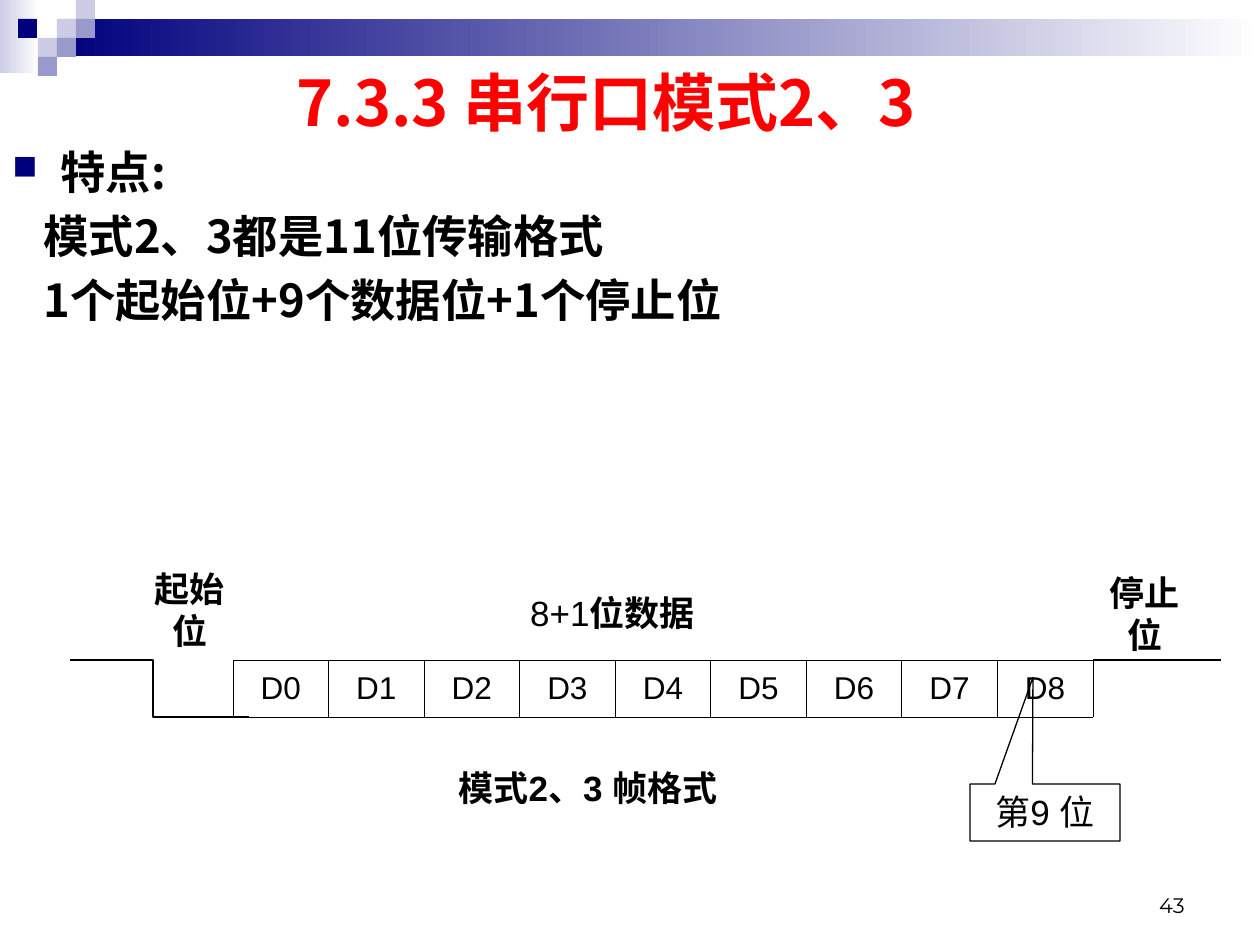
"""Build the slide on serial port modes 2 and 3 with their frame format."""
from lxml import etree
from pptx import Presentation
from pptx.dml.color import RGBColor
from pptx.enum.shapes import MSO_CONNECTOR, MSO_SHAPE
from pptx.enum.text import MSO_ANCHOR, PP_ALIGN
from pptx.oxml.ns import qn
from pptx.util import Pt

BLACK = RGBColor(0x00, 0x00, 0x00)
RED = RGBColor(0xFF, 0x00, 0x00)
WHITE = RGBColor(0xFF, 0xFF, 0xFF)
NAVY = RGBColor(0x00, 0x00, 0x7D)
LAVENDER = RGBColor(0xCC, 0xCC, 0xE6)
PERIWINKLE = RGBColor(0x99, 0x99, 0xCC)
CJK, LATIN, NUMBER = "Noto Sans CJK SC", "Arial", "Montserrat"

BANDS = [((0, 0, 39, 73), LAVENDER), ((57, 19, 1203, 37), NAVY)]
TILE = 19
TILES = [(57, 19, LAVENDER), (76, 0, LAVENDER), (76, 19, PERIWINKLE), (38, 38, LAVENDER),
         (18, 19, NAVY), (57, 38, PERIWINKLE), (38, 57, PERIWINKLE)]
TITLE = "7.3.3 串行口模式2、3"
FEATURES = ["特点:", "模式2、3都是11位传输格式", "1个起始位+9个数据位+1个停止位"]
LABELS = [
    ((128, 582, 124, 54), [("起始位", True)]),
    ((503, 588, 219, 50), [("8+1", False), ("位数据", True)]),
    ((1086, 586, 118, 54), [("停止位", True)]),
]
CAPTION = "模式2、3 帧格式"
NINTH_BIT = "第9 位"
PAGE = "43"
BITS = [f"D{number}" for number in range(9)]
FRAME_LEFT, FRAME_TOP, FRAME_WIDTH, FRAME_HEIGHT = 233, 660, 860, 57
START_LINE = (70, FRAME_TOP, 249, FRAME_TOP + FRAME_HEIGHT)
STOP_LINE = (FRAME_LEFT + FRAME_WIDTH, FRAME_TOP, 1221, FRAME_TOP)


def px(length):
    return round(length * 914400 / 126)


def style(run, size, font=LATIN, color=BLACK, bold=False):
    run.font.size, run.font.name, run.font.bold = Pt(size), font, bold
    run.font.color.rgb = color
    etree.SubElement(run.font._element, qn("a:ea")).set("typeface", CJK)


def write(paragraph, pieces, size, align=PP_ALIGN.CENTER, **look):
    paragraph.alignment = align
    for text, bold in pieces:
        run = paragraph.add_run()
        run.text = text
        style(run, size, bold=bold, **look)


def text_box(slide, box, anchor=MSO_ANCHOR.MIDDLE, wrap=False):
    frame = slide.shapes.add_textbox(*map(px, box)).text_frame
    frame.word_wrap, frame.vertical_anchor = wrap, anchor
    return frame


def rectangle(slide, box):
    shape = slide.shapes.add_shape(MSO_SHAPE.RECTANGLE, *map(px, box))
    shape.shadow.inherit = False
    shape.line.fill.background()
    return shape


def connect(slide, kind, ends):
    line = slide.shapes.add_connector(kind, *map(px, ends))
    line.line.color.rgb, line.line.width = BLACK, Pt(0.75)
    etree.SubElement(line._element.spPr, qn("a:effectLst"))
    return line


def add_decoration(slide):
    for box, color in BANDS:
        fill = rectangle(slide, box).fill
        fill.gradient()
        fill.gradient_angle = 0
        for stop, shade, position in zip(fill.gradient_stops, (color, WHITE), (0, 1)):
            stop.color.rgb, stop.position = shade, position
    for left, top, color in TILES:
        fill = rectangle(slide, (left, top, TILE, TILE)).fill
        fill.solid()
        fill.fore_color.rgb = color


def add_bullet(properties):
    color = etree.SubElement(properties, qn("a:buClr"))
    etree.SubElement(color, qn("a:srgbClr")).set("val", str(NAVY))
    etree.SubElement(properties, qn("a:buSzPct")).set("val", "75000")
    etree.SubElement(properties, qn("a:buChar")).set("char", "■")


def add_features(slide):
    frame = text_box(slide, (0, 138, 1260, 223), MSO_ANCHOR.TOP, True)
    for index, feature in enumerate(FEATURES):
        paragraph = frame.add_paragraph() if index else frame.paragraphs[0]
        properties = paragraph._p.get_or_add_pPr()
        properties.set("marL", str(px(31 if index else 48)))
        properties.set("indent", str(px(0 if index else -48)))
        if index:
            paragraph.space_before = Pt(5.4)
        else:
            add_bullet(properties)
        write(paragraph, [(feature, True)], 25.9, PP_ALIGN.LEFT, font=CJK)


def add_border(cell, side, width):
    border = etree.SubElement(cell._tc.get_or_add_tcPr(), qn(f"a:{side}"), w=str(Pt(width)))
    fill = etree.SubElement(border, qn("a:solidFill"))
    etree.SubElement(fill, qn("a:srgbClr")).set("val", str(BLACK))


def add_frame(slide):
    box = map(px, (FRAME_LEFT, FRAME_TOP, FRAME_WIDTH, FRAME_HEIGHT))
    table = slide.shapes.add_table(1, len(BITS), *box).table
    table.first_row = table.horz_banding = False
    for column, bit in enumerate(BITS):
        table.columns[column].width = px(FRAME_WIDTH / len(BITS))
        cell = table.cell(0, column)
        cell.vertical_anchor = MSO_ANCHOR.MIDDLE
        for side, width in (("lnL", 0.45), ("lnR", 0.45), ("lnT", 0.23), ("lnB", 0.23)):
            add_border(cell, side, width)
        cell.fill.background()
        write(cell.text_frame.paragraphs[0], [(bit, False)], 18)


def add_callout(slide):
    callout = slide.shapes.add_shape(MSO_SHAPE.RECTANGULAR_CALLOUT, *map(px, (970, 784, 150, 57)))
    callout.shadow.inherit = False
    callout.fill.background()
    callout.line.color.rgb, callout.line.width = BLACK, Pt(0.75)
    callout.adjustments[0], callout.adjustments[1] = -0.08, -2.37
    callout.text_frame.vertical_anchor = MSO_ANCHOR.TOP
    write(callout.text_frame.paragraphs[0], [(NINTH_BIT, False)], 20)


def main():
    deck = Presentation()
    deck.slide_width, deck.slide_height = px(1260), px(945)
    slide = deck.slides.add_slide(deck.slide_layouts[6])
    add_decoration(slide)
    title = text_box(slide, (253, 60, 706, 82))
    write(title.paragraphs[0], [(TITLE, True)], 36, font=CJK, color=RED)
    add_features(slide)
    start = connect(slide, MSO_CONNECTOR.ELBOW, START_LINE)
    guides = start._element.spPr.find(qn("a:prstGeom")).find(qn("a:avLst"))
    etree.SubElement(guides, qn("a:gd"), name="adj1", fmla="val 46500")
    add_frame(slide)
    connect(slide, MSO_CONNECTOR.STRAIGHT, STOP_LINE)
    for box, pieces in LABELS:
        write(text_box(slide, box).paragraphs[0], pieces, 20)
    add_callout(slide)
    caption = text_box(slide, (446, 760, 333, 55), MSO_ANCHOR.TOP, True)
    write(caption.paragraphs[0], [(CAPTION, True)], 20, PP_ALIGN.LEFT)
    page = text_box(slide, (903, 861, 294, 63), MSO_ANCHOR.BOTTOM, True)
    write(page.paragraphs[0], [(PAGE, False)], 12, PP_ALIGN.RIGHT, font=NUMBER)
    deck.save("out.pptx")


if __name__ == "__main__":
    main()
